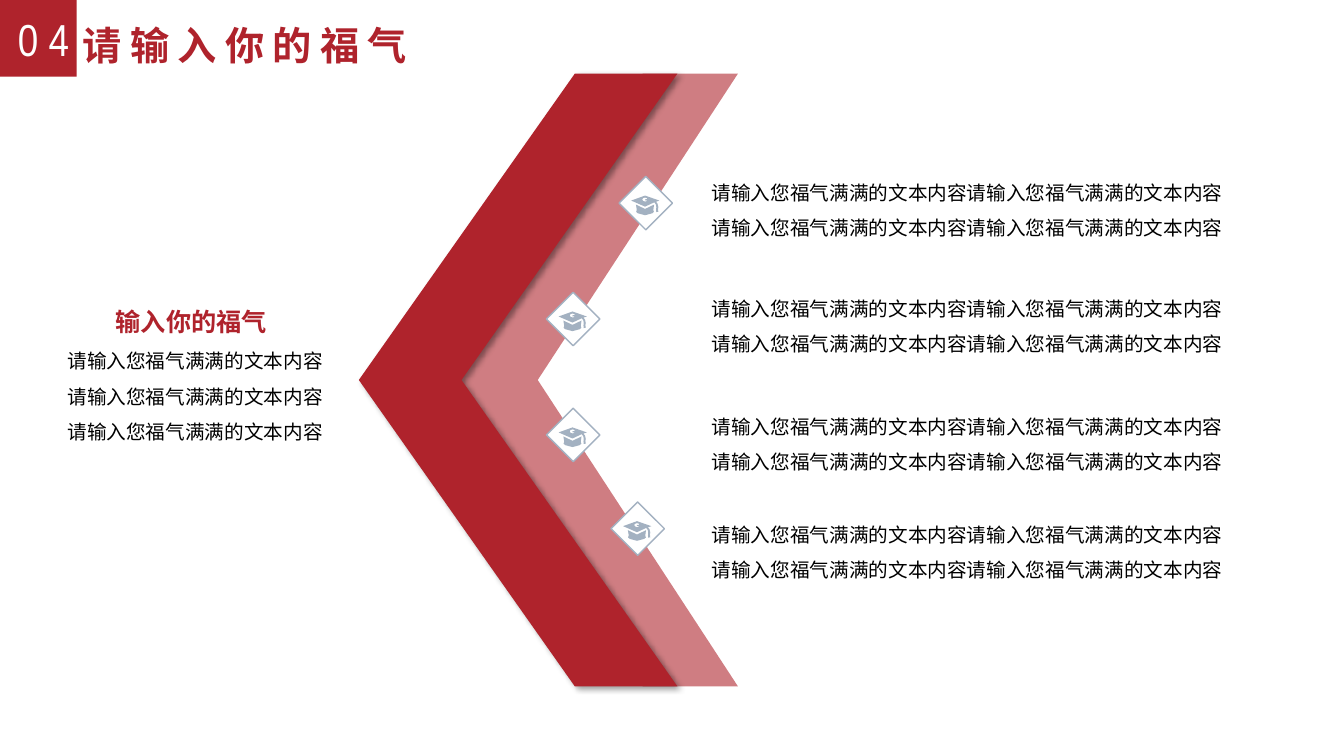
from dataclasses import dataclass

import pptx
import pptx.dml.color
import pptx.enum.shapes
import pptx.enum.text
import pptx.oxml
import pptx.oxml.ns
import pptx.util

SHAPE = pptx.enum.shapes.MSO_SHAPE
ALIGN = pptx.enum.text.PP_ALIGN
qn = pptx.oxml.ns.qn
NS = pptx.oxml.ns.nsdecls("a")
PX = 9144  # 100 px to the inch


@dataclass(frozen=True)
class Theme:
    red: str = "AF232C"
    grey: str = "A3B1C1"
    white: str = "FFFFFF"
    black: str = "000000"
    cjk: str = "Noto Sans CJK SC"
    latin: str = "Arial"
    narrow: str = "Arial Narrow"
    number: int = 32
    title: int = 28
    heading: int = 18
    body: int = 14


# Graduation cap outlines, in tenths of a px from the cap's top left
CAP = [
    # Base
    [(48, 90), (138, 133), (228, 90), (220, 142), (226, 162), (210, 176),
     (180, 184), (138, 195), (96, 184), (66, 176), (50, 162), (56, 142)],
    # Crescent cut out of the board
    [(138, 20), (118, 26), (110, 38), (118, 52), (138, 60), (152, 57),
     (160, 50), (138, 48), (138, 40), (148, 36), (162, 37), (156, 25)],
    # Board and tassel
    [(138, 0), (280, 50), (246, 62), (262, 80), (270, 115), (266, 135),
     (270, 160), (250, 165), (247, 140), (250, 115), (246, 90), (234, 72),
     (228, 68), (138, 110), (0, 50)],
]


class Deck:
    def __init__(self, theme):
        self.theme = theme
        self.prs = pptx.Presentation()
        self.prs.slide_width = pptx.util.Inches(13.33)
        self.prs.slide_height = pptx.util.Inches(7.5)
        self.s = self.prs.slides.add_slide(self.prs.slide_layouts[6])

    def group(self):
        return self.s.shapes.add_group_shape().shapes

    def paint(self, sp, fill, line=None):
        sp.shadow.inherit = False
        sp.fill.solid()
        sp.fill.fore_color.rgb = pptx.dml.color.RGBColor.from_string(fill)
        if line:
            sp.line.color.rgb = pptx.dml.color.RGBColor.from_string(line)
            sp.line.width = pptx.util.Pt(1)
        else:
            sp.line.fill.background()

    def shape(self, kind, box, fill, line=None, shapes=None):
        shapes = self.s.shapes if shapes is None else shapes
        sp = shapes.add_shape(kind, *(v * PX for v in box))
        self.paint(sp, fill, line)
        return sp

    def chevron(self, box, alpha=None, shadow=False):
        sp = self.shape(SHAPE.CHEVRON, box, self.theme.red)
        sp.adjustments[0] = 0.678
        spPr = sp._element.spPr
        spPr.find(qn("a:xfrm")).set("flipH", "1")
        if alpha:
            color = spPr.find(qn("a:solidFill")).find(qn("a:srgbClr"))
            color.append(pptx.oxml.parse_xml(
                f'<a:alpha {NS} val="{alpha * 1000}"/>'))
        if shadow:
            spPr.find(qn("a:effectLst")).append(pptx.oxml.parse_xml(
                f'<a:outerShdw {NS} blurRad="50800" dist="38100" dir="2700000"'
                f' algn="tl" rotWithShape="0"><a:srgbClr val="{self.theme.black}">'
                '<a:alpha val="40000"/></a:srgbClr></a:outerShdw>'))

    def badge(self, x, y):
        shapes = self.group()
        self.shape(SHAPE.DIAMOND, (x, y, 53, 53), self.theme.white,
                   self.theme.grey, shapes)
        first, *others = CAP
        fb = shapes.build_freeform(*first[0], scale=PX / 10)
        fb.add_line_segments(first[1:])
        for outline in others:
            fb.move_to(*outline[0])
            fb.add_line_segments(outline[1:])
        cap = fb.convert_to_shape((x + 12) * PX, (y + 19) * PX)
        cap.left, cap.top = (x + 12) * PX, (y + 19) * PX
        self.paint(cap, self.theme.grey)

    def text(self, box, text, size, color, font, bold=False, align=None,
             leading=None, spacing=None, bottom=False, shapes=None):
        shapes = self.s.shapes if shapes is None else shapes
        tf = shapes.add_textbox(*(v * PX for v in box)).text_frame
        tf.word_wrap = True
        if bottom:
            tf.vertical_anchor = pptx.enum.text.MSO_ANCHOR.BOTTOM
        else:
            tf.auto_size = pptx.enum.text.MSO_AUTO_SIZE.SHAPE_TO_FIT_TEXT
        tf.text = text
        for p in tf.paragraphs:
            p.alignment = align
            p.line_spacing = leading
            for r in p.runs:
                r.font.size = pptx.util.Pt(size)
                r.font.bold = bold
                r.font.name = font
                r.font.color.rgb = pptx.dml.color.RGBColor.from_string(color)
                rPr = r.font._element
                rPr.append(pptx.oxml.parse_xml(
                    f'<a:ea {NS} typeface="{font}"/>'))
                if spacing:
                    rPr.set("spc", str(spacing * 100))

    def body(self, box, line, count, shapes=None):
        t = self.theme
        self.text(box, "\n".join([line] * count), t.body, t.black, t.cjk,
                  align=ALIGN.JUSTIFY, leading=1.5, shapes=shapes)


def main():
    t = Theme()
    deck = Deck(t)
    phrase = "请输入您福气满满的文本内容"

    # Header block, chevrons and title
    deck.shape(SHAPE.RECTANGLE, (-2, -2, 78, 78), t.red)
    deck.chevron((439, 73, 293, 608), alpha=59)
    deck.text((72, -3, 588, 76), "请输入你的福气", t.title, t.red, t.latin,
              bold=True, leading=0.9, spacing=6, bottom=True)
    deck.chevron((356, 73, 316, 608), shadow=True)

    # Left summary
    summary = deck.group()
    deck.body((57, 330, 275, 113), phrase, 3, summary)
    deck.text((105, 299, 180, 40), "输入你的福气", t.heading, t.red, t.cjk,
              bold=True, shapes=summary)

    # Badges along the chevron, each with its text
    for x, y, text_y in [(614, 175, 163), (542, 290, 278),
                         (542, 405, 395), (606, 498, 502)]:
        deck.badge(x, y)
        deck.body((696, text_y, 551, 77), phrase * 2, 2)

    # Section number
    deck.text((8, 7, 101, 64), "0 4", t.number, t.white, t.narrow)

    deck.prs.save("out.pptx")


if __name__ == "__main__":
    main()
